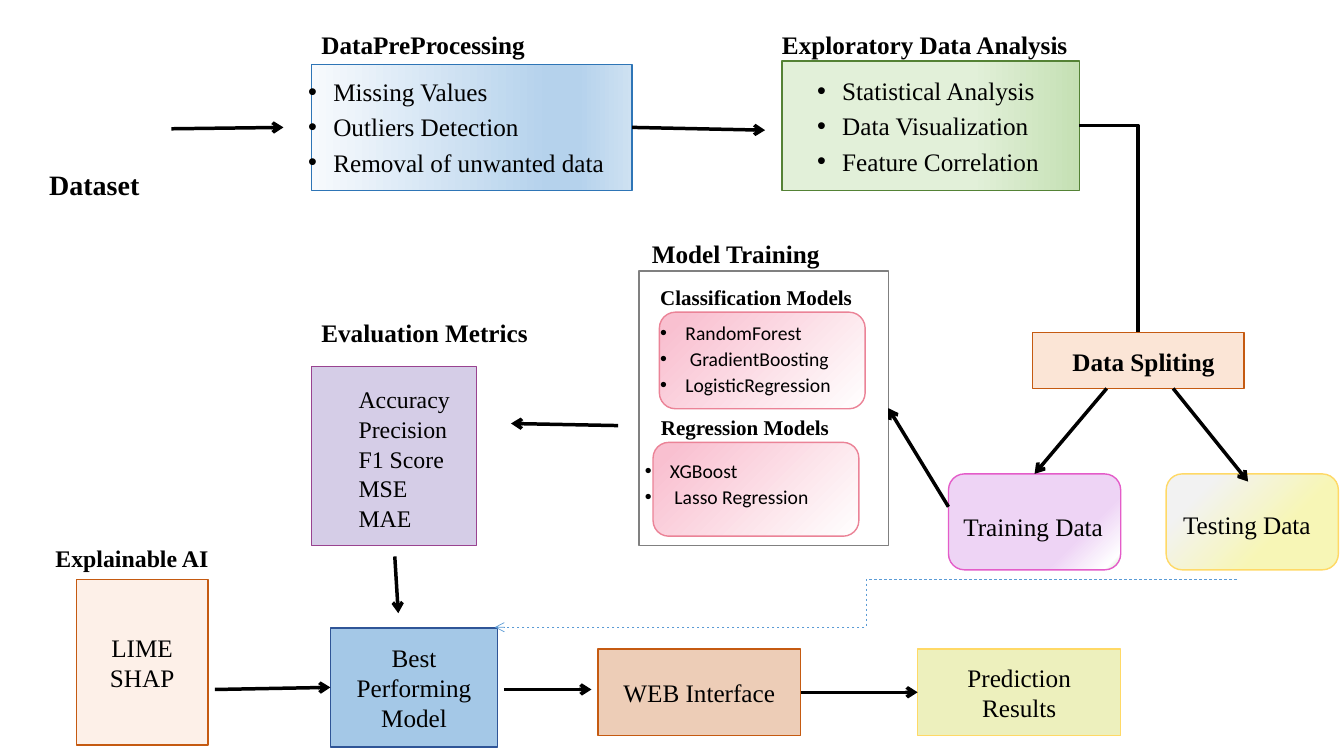
from lxml import etree
from pptx import Presentation
from pptx import util as u
from pptx.dml.color import RGBColor
from pptx.enum import dml, shapes, text
from pptx.oxml import parse_xml
from pptx.oxml.ns import nsdecls, qn

COLORS = {
    "black": "000000", "white": "FFFFFF", "grey": "808080", "pale grey": "F2F2F2",
    "ice": "F7FAFD", "sky": "B5D2EC", "mist": "CEE1F2", "blue": "2E75B6",
    "azure": "5B9BD5", "navy": "2F5597", "mint": "E2F0D9", "leaf": "C5E0B4",
    "green": "548235", "peach": "FBE5D6", "apricot": "F8CBAD", "rust": "C55A11",
    "lilac": "EED4F5", "magenta": "E45CC9", "violet": "4C2799", "plum": "994390",
    "rose": "F9C0D0", "coral": "EB8397", "lemon": "F7F6B6", "gold": "FFD966",
    "lime": "EDF0BD",
}
SERIF = "Times New Roman"
HEADING = {"name": SERIF, "size": u.Pt(18), "bold": True}
BODY = {"name": SERIF, "size": u.Pt(18), "bold": False}
SUBHEADING = {**HEADING, "size": u.Pt(15)}
EXPLAINABLE = {**HEADING, "size": u.Pt(17)}
METRIC = {**BODY, "size": u.Pt(17)}
MODEL = {"name": "Calibri", "size": u.Pt(14), "bold": False}

PROCESS = shapes.MSO_SHAPE.FLOWCHART_PROCESS
ROUNDED = shapes.MSO_SHAPE.FLOWCHART_ALTERNATE_PROCESS
TOP, LEFT, BOTTOM, RIGHT = range(4)
ROSE_FADE = ([(8, "rose"), (100, "white")], 45)


def rgb(color):
    return RGBColor.from_string(COLORS[color])


def fill_gradient(shape, stops, angle):
    stop_xml = "".join(
        f'<a:gs pos="{pos * 1000}"><a:srgbClr val="{COLORS[color]}"/></a:gs>'
        for pos, color in stops)
    shape._element.spPr.append(parse_xml(
        f'<a:gradFill {nsdecls("a")} rotWithShape="1"><a:gsLst>{stop_xml}</a:gsLst>'
        f'<a:lin ang="{angle * 60000}" scaled="0"/></a:gradFill>'))


def fill_solid(shape, color, opacity=100):
    shape.fill.solid()
    shape.fill.fore_color.rgb = rgb(color)
    if opacity < 100:
        swatch = shape._element.spPr.find(qn("a:solidFill"))[0]
        etree.SubElement(swatch, qn("a:alpha")).set("val", str(opacity * 1000))


def add_bullet(paragraph):
    props = paragraph._p.get_or_add_pPr()
    props.set("marL", str(u.Pt(36)))
    props.set("indent", str(u.Pt(-18)))
    etree.SubElement(props, qn("a:buFont")).set("typeface", "Arial")
    etree.SubElement(props, qn("a:buChar")).set("char", "•")


def write(frame, lines, font, align=text.PP_ALIGN.LEFT, bullets=False, gap=0):
    """Put one paragraph per line into a text frame; gap is the space after each, in points."""
    frame.word_wrap = True
    for index, line in enumerate(lines):
        paragraph = frame.paragraphs[0] if index == 0 else frame.add_paragraph()
        paragraph.alignment = align
        paragraph.space_after = u.Pt(gap)
        if bullets:
            add_bullet(paragraph)
        run = paragraph.add_run()
        run.text = line
        for name, value in font.items():
            setattr(run.font, name, value)
        run.font.color.rgb = rgb("black")


def add_box(slide, kind, place, outline, solid=None, gradient=None):
    box = slide.shapes.add_shape(kind, *map(u.Pt, place))
    if gradient:
        fill_gradient(box, *gradient)
    else:
        fill_solid(box, *solid)
    box.line.color.rgb = rgb(outline)
    box.line.width = u.Pt(1)
    box.shadow.inherit = False
    box.text_frame.vertical_anchor = text.MSO_ANCHOR.MIDDLE
    return box


def add_label(slide, place, lines, font, **layout):
    label = slide.shapes.add_textbox(*map(u.Pt, place))
    write(label.text_frame, lines, font, **layout)


def add_flow(slide, start, end, begin=None, finish=None, color="black", width=2.5,
             elbow=False, arrow=True):
    """Draw a connector; begin and finish are (box, side) pairs to join it to."""
    kind = shapes.MSO_CONNECTOR.ELBOW if elbow else shapes.MSO_CONNECTOR.STRAIGHT
    flow = slide.shapes.add_connector(kind, *map(u.Pt, start + end))
    if begin:
        flow.begin_connect(*begin)
    if finish:
        flow.end_connect(*finish)
    flow.line.color.rgb = rgb(color)
    flow.line.width = u.Pt(width)
    props = flow._element.spPr
    if arrow:
        etree.SubElement(props.find(qn("a:ln")), qn("a:tailEnd")).set("type", "arrow")
    etree.SubElement(props, qn("a:effectLst"))
    return flow


def add_boxes(slide):
    place_box = {
        "preprocessing": (PROCESS, (222.5, 46, 229, 90), "blue", None,
                          ([(0, "ice"), (74, "sky"), (83, "sky"), (100, "mist")], 0)),
        "exploration": (PROCESS, (558.5, 43.5, 212.5, 92.5), "green", None,
                        ([(64, "mint"), (100, "leaf")], 0)),
        "splitting": (shapes.MSO_SHAPE.RECTANGLE, (737.5, 237.5, 151, 40), "rust", ("peach",)),
        "training": (ROUNDED, (677.5, 338.5, 123, 68.5), "magenta", None,
                     ([(72, "lilac"), (94, "white"), (100, "leaf")], 45)),
        "testing": (ROUNDED, (833, 338.5, 123, 68.5), "gold", None,
                    ([(8, "pale grey"), (19, "pale grey"), (65, "lemon")], 45)),
        "models": (PROCESS, (456.5, 193.5, 178, 196), "grey", ("white",)),
        "classification": (ROUNDED, (471, 223, 147, 69), "coral", None, ROSE_FADE),
        "regression": (ROUNDED, (466.5, 316, 147, 67), "coral", None, ROSE_FADE),
        "metrics": (PROCESS, (222.5, 262, 118, 127.5), "plum", ("violet", 23)),
        "best": (PROCESS, (236, 448.5, 119.5, 85), "navy", ("azure", 55)),
        "prediction": (PROCESS, (655.5, 463.5, 145, 62), "gold", ("lime",)),
        "explainers": (PROCESS, (54.5, 414, 94, 118), "rust", ("apricot", 28)),
        "web": (PROCESS, (427, 463.5, 145, 62), "rust", ("rust", 30)),
    }
    boxes = {name: add_box(slide, *parts) for name, parts in place_box.items()}
    write(boxes["exploration"].text_frame,
          ["Statistical Analysis", "Data Visualization", "Feature Correlation"],
          BODY, bullets=True, gap=3.6)
    centred = {
        "best": ["Best Performing Model"],
        "prediction": ["Prediction Results"],
        "explainers": ["LIME", "SHAP"],
        "web": ["WEB Interface"],
    }
    for name, lines in centred.items():
        write(boxes[name].text_frame, lines, BODY, text.PP_ALIGN.CENTER)
    return boxes


def add_labels(slide):
    for place, line, font in [
        ((28, 116, 106, 32), "Dataset", {**HEADING, "size": u.Pt(20)}),
        ((222.5, 17.5, 181, 29), "DataPreProcessing", HEADING),
        ((551.5, 17.5, 225, 34), "Exploratory Data Analysis", HEADING),
        ((759, 243.5, 130, 28), "Data Spliting", HEADING),
        ((681, 362, 141, 28), "Training Data", BODY),
        ((838, 360, 118, 29), "Testing Data", BODY),
        ((458.5, 166.5, 175, 29), "Model Training", HEADING),
        ((464.5, 199.5, 175, 25), "Classification Models", SUBHEADING),
        ((465, 292.5, 169, 25), "Regression Models", SUBHEADING),
        ((222.5, 223, 164, 33), "Evaluation Metrics", HEADING),
        ((32.5, 385, 171, 28), "Explainable AI", EXPLAINABLE),
    ]:
        add_label(slide, place, [line], font)

    add_label(slide, (195, 51, 256.5, 80),
              ["Missing Values", "Outliers Detection", "Removal of unwanted data"],
              BODY, bullets=True, gap=3.6)
    add_label(slide, (446.5, 225.5, 176.5, 60),
              ["RandomForest", " GradientBoosting", "LogisticRegression"],
              MODEL, bullets=True, gap=1.8)
    add_label(slide, (435.5, 324, 170.5, 42), ["XGBoost", " Lasso Regression"],
              MODEL, bullets=True, gap=1.8)
    add_label(slide, (249, 271.5, 90, 110),
              ["Accuracy", "Precision", "F1 Score", "MSE", "MAE"], METRIC, gap=0.8)


def add_flows(slide, boxes):
    for start, end, begin, finish in [
        ((122.5, 92), (202.5, 91), None, None),
        ((451.5, 92), (546.5, 93), ("preprocessing", RIGHT), None),
        ((677.5, 362), (634.5, 291.5), None, ("models", RIGHT)),
        ((441.5, 304), (365, 302.5), None, None),
        ((282, 397.5), (284.5, 438), None, None),
        ((153.5, 492.5), (236, 491), None, ("best", LEFT)),
        ((360, 492.5), (422.5, 492.5), None, None),
        ((572, 494.5), (655.5, 494.5), ("web", RIGHT), ("prediction", LEFT)),
        ((790.5, 277.5), (739, 338.5), None, ("training", TOP)),
        ((838, 277.5), (891.5, 344), None, None),
    ]:
        begin, finish = [site and (boxes[site[0]], site[1]) for site in (begin, finish)]
        add_flow(slide, start, end, begin, finish)

    to_splitting = add_flow(slide, (771, 90), (813, 237.5), (boxes["exploration"], RIGHT),
                            (boxes["splitting"], TOP), elbow=True, arrow=False)
    to_splitting._element.spPr.find(qn("a:prstGeom")).set("prst", "bentConnector2")
    testing_to_best = add_flow(slide, (883.5, 414), (353.5, 448), color="azure", width=0.5,
                               elbow=True)
    testing_to_best.line.dash_style = dml.MSO_LINE.DASH


def main():
    deck = Presentation()
    deck.slide_width, deck.slide_height = u.Pt(960), u.Pt(540)
    slide = deck.slides.add_slide(deck.slide_layouts[6])
    boxes = add_boxes(slide)
    add_labels(slide)
    add_flows(slide, boxes)
    deck.save("out.pptx")


if __name__ == "__main__":
    main()
